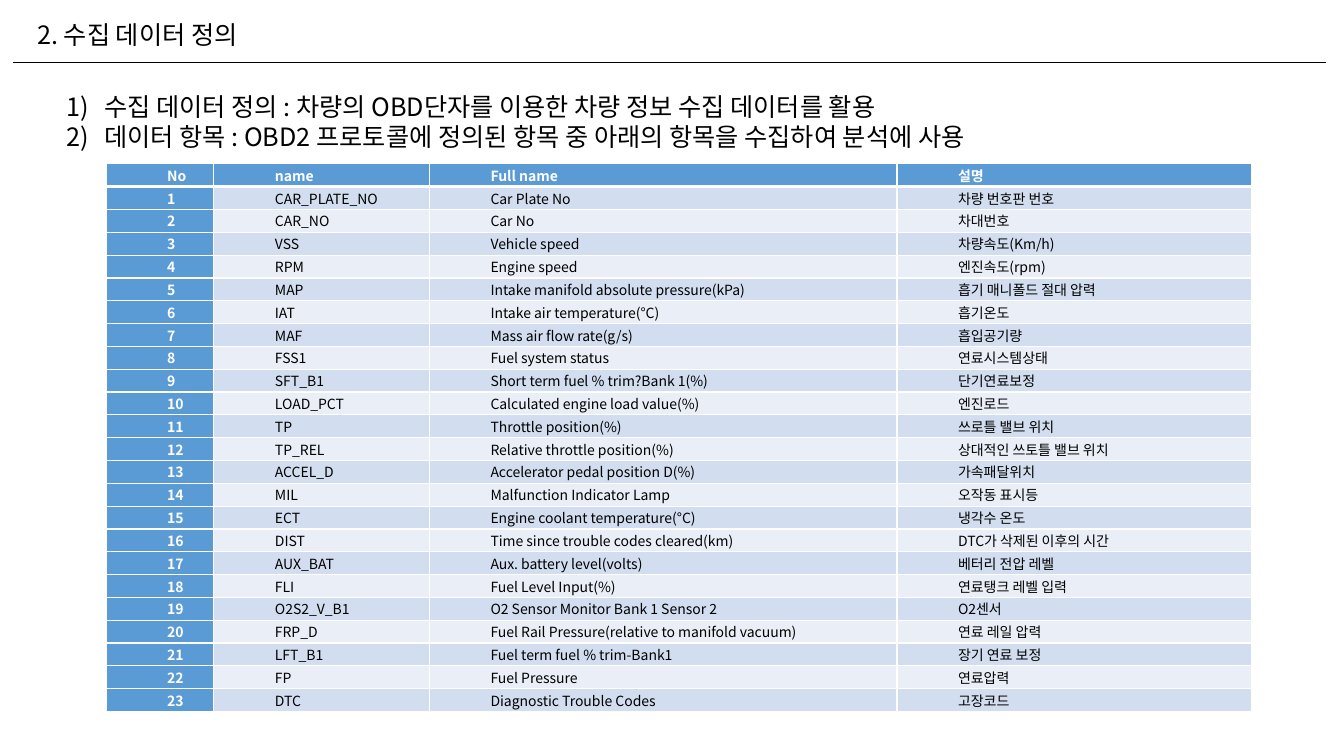
"""Builds the slide that defines the collected vehicle data items."""
import pptx
import pptx.dml.color
import pptx.enum.shapes
import pptx.enum.text
import pptx.oxml
import pptx.oxml.ns
import pptx.util

Pt = pptx.util.Pt
RGB = pptx.dml.color.RGBColor

TITLE = "2. 수집 데이터 정의"
POINTS = [
    "수집 데이터 정의 : 차량의 OBD단자를 이용한 차량 정보 수집 데이터를 활용",
    "데이터 항목 : OBD2 프로토콜에 정의된 항목 중 아래의 항목을 수집하여 분석에 사용",
]
HEADER = ("No", "name", "Full name", "설명")
ITEMS = [
    ("CAR_PLATE_NO", "Car Plate No", "차량 번호판 번호"),
    ("CAR_NO", "Car No", "차대번호"),
    ("VSS", "Vehicle speed", "차량속도(Km/h)"),
    ("RPM", "Engine speed", "엔진속도(rpm)"),
    ("MAP", "Intake manifold absolute pressure(kPa)", "흡기 매니폴드 절대 압력"),
    ("IAT", "Intake air temperature(°C)", "흡기온도"),
    ("MAF", "Mass air flow rate(g/s)", "흡입공기량"),
    ("FSS1", "Fuel system status", "연료시스템상태"),
    ("SFT_B1", "Short term fuel % trim?Bank 1(%)", "단기연료보정"),
    ("LOAD_PCT", "Calculated engine load value(%)", "엔진로드"),
    ("TP", "Throttle position(%)", "쓰로틀 밸브 위치"),
    ("TP_REL", "Relative throttle position(%)", "상대적인 쓰토틀 밸브 위치"),
    ("ACCEL_D", "Accelerator pedal position D(%)", "가속패달위치"),
    ("MIL", "Malfunction Indicator Lamp", "오작동 표시등"),
    ("ECT", "Engine coolant temperature(°C)", "냉각수 온도"),
    ("DIST", "Time since trouble codes cleared(km)", "DTC가 삭제된 이후의 시간"),
    ("AUX_BAT", "Aux. battery level(volts)", "베터리 전압 레벨"),
    ("FLI", "Fuel Level Input(%)", "연료탱크 레벨 입력"),
    ("O2S2_V_B1", "O2 Sensor Monitor Bank 1 Sensor 2", "O2센서"),
    ("FRP_D", "Fuel Rail Pressure(relative to manifold vacuum)", "연료 레일 압력"),
    ("LFT_B1", "Fuel term fuel % trim-Bank1", "장기 연료 보정"),
    ("FP", "Fuel Pressure", "연료압력"),
    ("DTC", "Diagnostic Trouble Codes", "고장코드"),
]
COL_WIDTHS = (77, 154, 334, 253)
ROW_HEIGHT = 16.3

FONT = "Noto Sans CJK KR"
BLACK = RGB(0x00, 0x00, 0x00)
WHITE = RGB(0xFF, 0xFF, 0xFF)
BLUE = RGB(0x5B, 0x9B, 0xD5)
BANDS = (RGB(0xEA, 0xEF, 0xF7), RGB(0xD2, 0xDE, 0xEF))


def set_attrs(obj, values):
    for name, value in values.items():
        setattr(obj, name, value)


def write(p, text, size, color=BLACK, bold=False):
    r = p.add_run()
    r.text = text
    set_attrs(r.font, {"name": FONT, "size": Pt(size), "bold": bold})
    r.font.color.rgb = color
    ea = pptx.oxml.ns.qn("a:ea")
    pptx.oxml.xmlchemy.OxmlElement
    r.font.fill
    r._r.get_or_add_rPr().makeelement
    el = r._r.get_or_add_rPr().makeelement(ea, {"typeface": FONT})
    r._r.get_or_add_rPr().find(pptx.oxml.ns.qn("a:latin")).addnext(el)


def indent(p, left, first=0):
    pPr = p._p.get_or_add_pPr()
    pPr.set("marL", str(Pt(left)))
    pPr.set("indent", str(Pt(first)))
    return pPr


def add_border(cell, side, width):
    cell._tc.get_or_add_tcPr().append(pptx.oxml.parse_xml(
        f'<a:{side} {pptx.oxml.ns.nsdecls("a")} w="{Pt(width)}"><a:solidFill>'
        f'<a:srgbClr val="{WHITE}"/></a:solidFill></a:{side}>'))


def add_rule(s):
    ln = s.shapes.add_connector(pptx.enum.shapes.MSO_CONNECTOR.STRAIGHT,
                                Pt(9.4), Pt(44.8), Pt(947.5), Pt(44.8))
    ln.line.color.rgb = BLACK
    ln.line.width = Pt(0.5)
    ln._element.spPr.append(pptx.oxml.parse_xml(
        f'<a:effectLst {pptx.oxml.ns.nsdecls("a")}/>'))


def add_title(s):
    sp = s.shapes.title
    set_attrs(sp, {"left": Pt(19.4), "top": Pt(10), "width": Pt(175), "height": Pt(29)})
    set_attrs(sp.text_frame, {"word_wrap": False,
                              "vertical_anchor": pptx.enum.text.MSO_ANCHOR.MIDDLE})
    p = sp.text_frame.paragraphs[0]
    p.alignment = pptx.enum.text.PP_ALIGN.LEFT
    write(p, TITLE, 18)


def add_points(s):
    tf = s.shapes.add_textbox(Pt(40.5), Pt(60.5), Pt(734), Pt(51)).text_frame
    set_attrs(tf, {"word_wrap": False, "margin_top": Pt(5)})
    for i, text in enumerate(POINTS):
        p = tf.add_paragraph() if i else tf.paragraphs[0]
        p.line_spacing = Pt(21.2)
        indent(p, 27, -27).append(pptx.oxml.parse_xml(
            f'<a:buAutoNum {pptx.oxml.ns.nsdecls("a")} type="arabicParenR"/>'))
        write(p, text, 18)


def add_items(s):
    rows = [HEADER] + [(str(n), *item) for n, item in enumerate(ITEMS, 1)]
    tbl = s.shapes.add_table(len(rows), len(HEADER), Pt(75.8), Pt(117), Pt(sum(COL_WIDTHS)),
                             Pt(ROW_HEIGHT * len(rows))).table
    for col, width in zip(tbl.columns, COL_WIDTHS):
        col.width = Pt(width)
    for i, row in enumerate(rows):
        tbl.rows[i].height = Pt(ROW_HEIGHT)
        for j, text in enumerate(row):
            cell = tbl.cell(i, j)
            set_attrs(cell, {"margin_left": Pt(3.6), "margin_right": Pt(3.6),
                             "margin_top": 0, "margin_bottom": 0})
            for side in ("lnL", "lnR", "lnT", "lnB"):
                heavy = (side, i) in (("lnB", 0), ("lnT", 1))
                add_border(cell, side, 3 if heavy else 1)
            head = i == 0 or j == 0
            cell.fill.solid()
            cell.fill.fore_color.rgb = BLUE if head else BANDS[i % 2]
            p = cell.text_frame.paragraphs[0]
            p.line_spacing = 1.07
            indent(p, 40)
            write(p, text, 10, WHITE if head else BLACK, head)


def main():
    prs = pptx.Presentation()
    set_attrs(prs, {"slide_width": Pt(960), "slide_height": Pt(540)})
    s = prs.slides.add_slide(prs.slide_layouts[5])
    add_rule(s)
    add_title(s)
    add_points(s)
    add_items(s)
    prs.save("out.pptx")


if __name__ == "__main__":
    main()
